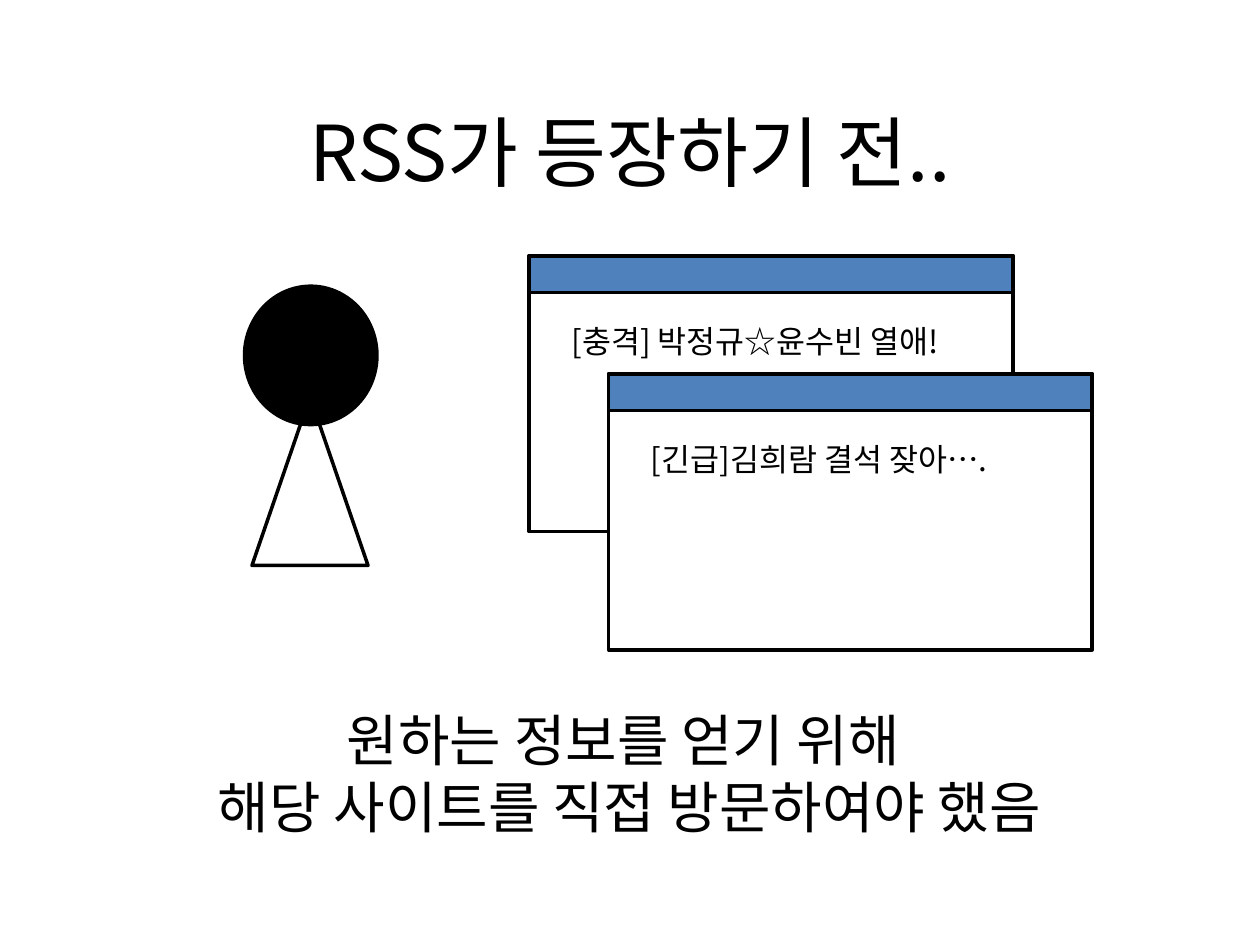
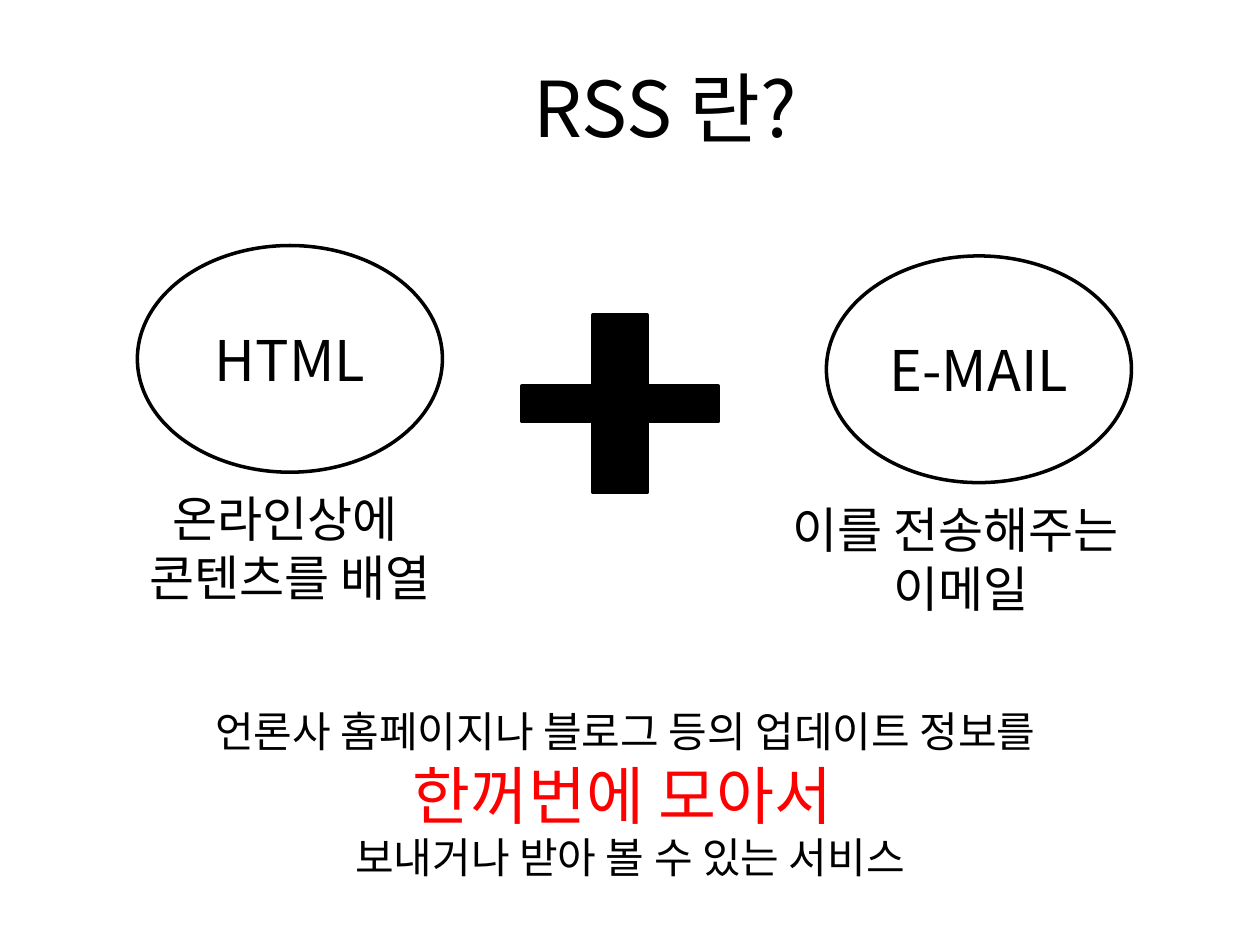
"""Build two slides on what RSS is and how things were before it."""
from lxml import etree
from pptx import Presentation
from pptx.dml.color import RGBColor
from pptx.enum import shapes, text
from pptx.oxml import ns
from pptx.util import Cm, Pt

FONT = "Noto Sans CJK KR"
BLACK, WHITE, BLUE, RED = "000000", "FFFFFF", "4F81BD", "FF0000"
TITLE, BODY, CAPTION, NOTE, NEWS = 44, 32, 28, 24, 18
CENTER, LEFT = text.PP_ALIGN.CENTER, text.PP_ALIGN.LEFT
KIND = shapes.MSO_SHAPE


def add_box(s, kind, box, fill=None):
    """Add an outlined shape, without a fill if none is given."""
    sp = s.shapes.add_shape(kind, *map(Cm, box))
    sp.shadow.inherit = False
    if fill:
        sp.fill.solid()
        sp.fill.fore_color.rgb = RGBColor.from_string(fill)
    else:
        sp.fill.background()
    sp.line.color.rgb = RGBColor.from_string(BLACK)
    sp.line.width = Pt(2)
    return sp


def add_text(s, target, lines, align=CENTER):
    """Write (text, size, colour) lines into a shape or a new text box."""
    if isinstance(target, tuple):
        target = s.shapes.add_textbox(*map(Cm, target))
    tf = target.text_frame
    tf.word_wrap = True
    tf.text = "\n".join(line[0] for line in lines)
    for p, (_, size, color) in zip(tf.paragraphs, lines):
        p.alignment = align
        for r in p.runs:
            r.font.size = Pt(size)
            r.font.name = FONT
            r.font.color.rgb = RGBColor.from_string(color)
            ea = etree.SubElement(r.font._element, ns.qn("a:ea"))
            ea.set("typeface", FONT)


prs = Presentation()
prs.slide_width, prs.slide_height = Cm(25.4), Cm(19.05)
blank = prs.slide_layouts[6]

s = prs.slides.add_slide(blank)
add_text(s, (0, 1.98, 25.4, 2.14), [("RSS가 등장하기 전..", TITLE, BLACK)])

add_box(s, KIND.ISOSCELES_TRIANGLE, (5.08, 8, 2.34, 3.4))
add_box(s, KIND.OVAL, (4.93, 5.77, 2.67, 2.79), BLACK)

windows = [(10.67, 5.16, "[충격] 박정규☆윤수빈 열애!"),
           (12.27, 7.54, "[긴급]김희람 결석 잦아….")]
for x, y, news in windows:
    add_box(s, KIND.RECTANGLE, (x, y, 9.75, 5.56), WHITE)
    add_box(s, KIND.RECTANGLE, (x, y, 9.75, 0.74), BLUE)
    add_text(s, (x + 0.6, y + 1.21, 8.48, 1.02), [(news, NEWS, BLACK)], LEFT)

add_text(s, (0, 14.1, 25.4, 4.37),
         [("원하는 정보를 얻기 위해 ", BODY, BLACK),
          ("해당 사이트를 직접 방문하여야 했음", BODY, BLACK)])

s = prs.slides.add_slide(blank)
add_text(s, (1.98, 1.1, 22.86, 2.14), [("RSS 란?", TITLE, BLACK)])

parts = [(2.77, 4.95, "HTML", 2.39, 6.93, ["온라인상에 ", "콘텐츠를 배열"]),
         (16.66, 5.16, "E-MAIL", 15.09, 8.33, ["이를 전송해주는", " 이메일"])]
for x, y, name, caption_x, caption_w, caption in parts:
    sp = add_box(s, KIND.OVAL, (x, y, 6.15, 4.57), WHITE)
    add_text(s, sp, [(name, BODY, BLACK)])
    add_text(s, (caption_x, y + 4.78, caption_w, 2.64),
             [(line, CAPTION, BLACK) for line in caption])

add_text(s, (0, 14.1, 25.4, 3.84),
         [("언론사 홈페이지나 블로그 등의 업데이트 정보를 ", NOTE, BLACK),
          ("한꺼번에 모아서 ", 36, RED),
          ("보내거나 받아 볼 수 있는 서비스", NOTE, BLACK)])

plus = add_box(s, KIND.CROSS, (10.52, 6.35, 3.96, 3.58), BLACK)
plus.adjustments[0] = 0.4

prs.save("out.pptx")
